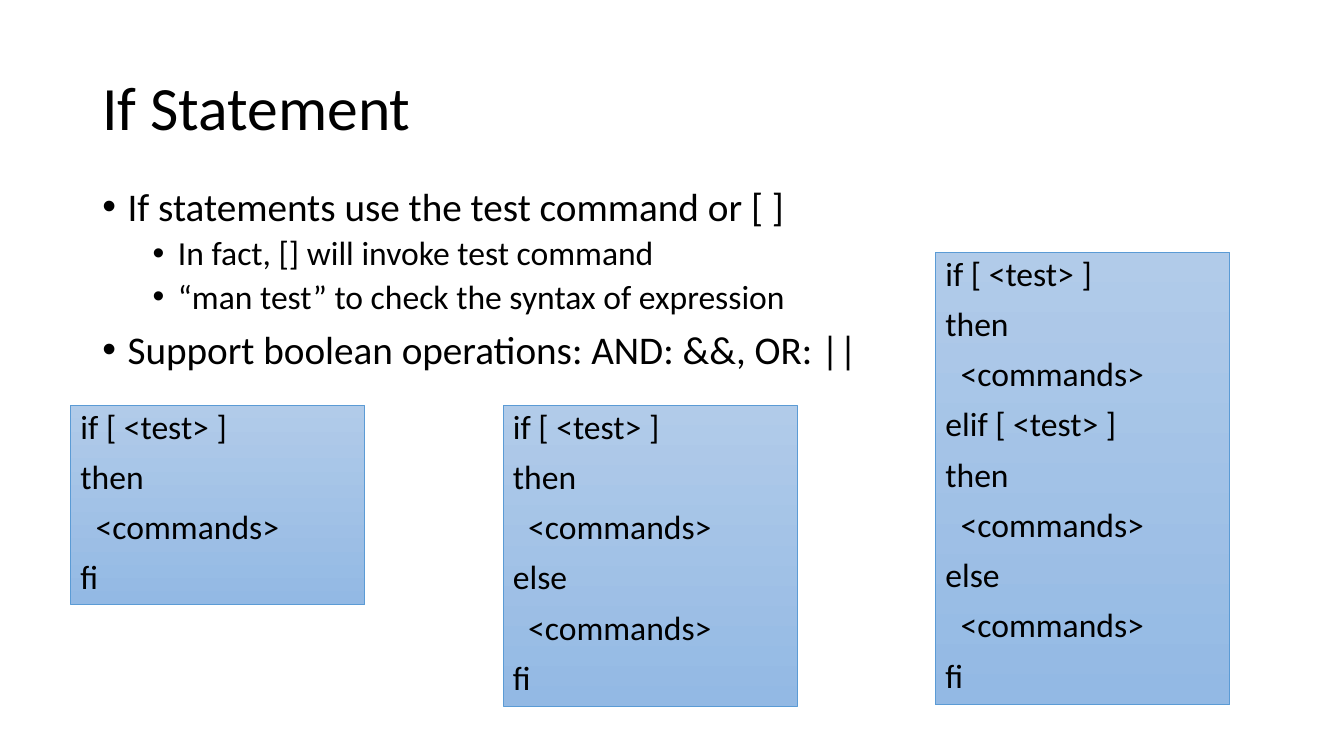
import pptx
import pptx.util
import pptx.dml.color
import pptx.enum.shapes
import pptx.enum.text
import pptx.oxml.ns
import lxml.etree

Pt = pptx.util.Pt
RGB = pptx.dml.color.RGBColor
ANCHOR = pptx.enum.text.MSO_ANCHOR
FIT = pptx.enum.text.MSO_AUTO_SIZE
LEFT = pptx.enum.text.PP_ALIGN.LEFT

BLACK = RGB(0x00, 0x00, 0x00)
PALE = RGB(0xB1, 0xCB, 0xE9)
DEEP = RGB(0x93, 0xB9, 0xE4)
EDGE = RGB(0x5B, 0x9B, 0xD5)

POINTS = [
    (0, "If statements use the test command or [ ]"),
    (1, "In fact, [] will invoke test command"),
    (1, "“man test” to check the syntax of expression"),
    (0, "Support boolean operations: AND: &&, OR: ||"),
]
LEVELS = [
    {"size": 28, "gap": 10, "indent": 18},
    {"size": 24, "gap": 5, "indent": 54},
]

TEST = ["if [ <test> ]", "then", "  <commands>"]
OTHER = ["else", "  <commands>"]
CODES = [
    (289.4, TEST + ["fi"]),
    (289.4, TEST + OTHER + ["fi"]),
    (180, TEST + ["elif [ <test> ]"] + TEST[1:] + OTHER + ["fi"]),
]


def apply(item, form):
    for name, value in form.items():
        setattr(item, name, value)


def place(shape, left, top, width, height):
    apply(shape, {"left": Pt(left), "top": Pt(top),
                  "width": Pt(width), "height": Pt(height)})


def write(para, text, size, gap):
    apply(para, {"alignment": LEFT, "line_spacing": 0.9,
                 "space_before": Pt(gap)})
    run = para.add_run()
    run.text = text
    apply(run.font, {"name": "Calibri", "size": Pt(size)})
    run.font.color.rgb = BLACK


def bullet(para, indent):
    props = para._p.get_or_add_pPr()
    props.set("marL", str(Pt(indent)))
    props.set("indent", str(Pt(-18)))
    qn = pptx.oxml.ns.qn
    lxml.etree.SubElement(props, qn("a:buFont"), typeface="Arial")
    lxml.etree.SubElement(props, qn("a:buChar"), char="•")


def get_para(frame, index):
    return frame.add_paragraph() if index else frame.paragraphs[0]


def add_title(slide, text):
    title = slide.shapes.title
    place(title, 66, 26.6, 828, 104.4)
    apply(title.text_frame, {"vertical_anchor": ANCHOR.MIDDLE,
                             "word_wrap": True, "auto_size": FIT.NONE})
    write(title.text_frame.paragraphs[0], text, 44, 0)


def add_list(slide, points):
    box = slide.shapes.add_textbox(Pt(66), Pt(130.4), Pt(622.8), Pt(149))
    frame = box.text_frame
    frame.word_wrap = True
    for index, (level, text) in enumerate(points):
        form = LEVELS[level]
        para = get_para(frame, index)
        para.level = level
        bullet(para, form["indent"])
        write(para, text, form["size"], form["gap"] if index else 0)


def add_code(slide, left, top, lines):
    rect = pptx.enum.shapes.MSO_SHAPE.RECTANGLE
    height = 36.15 * len(lines) - 2
    box = slide.shapes.add_shape(rect, Pt(left), Pt(top), Pt(210.2), Pt(height))
    box.shadow.inherit = False
    box.fill.gradient()
    box.fill.gradient_angle = 270
    for stop, color in zip(box.fill.gradient_stops, (PALE, DEEP)):
        stop.color.rgb = color
    box.line.color.rgb = EDGE
    box.line.width = Pt(0.5)
    frame = box.text_frame
    apply(frame, {"vertical_anchor": ANCHOR.TOP, "word_wrap": True,
                  "auto_size": FIT.SHAPE_TO_FIT_TEXT})
    for index, text in enumerate(lines):
        write(get_para(frame, index), text, 24, 10 if index else 0)


def main():
    deck = pptx.Presentation()
    apply(deck, {"slide_width": Pt(960), "slide_height": Pt(540)})
    slide = deck.slides.add_slide(deck.slide_layouts[5])
    add_title(slide, "If Statement")
    add_list(slide, POINTS)
    for index, (top, lines) in enumerate(CODES):
        add_code(slide, 50.4 + 308.9 * index, top, lines)
    deck.save("out.pptx")


if __name__ == "__main__":
    main()
